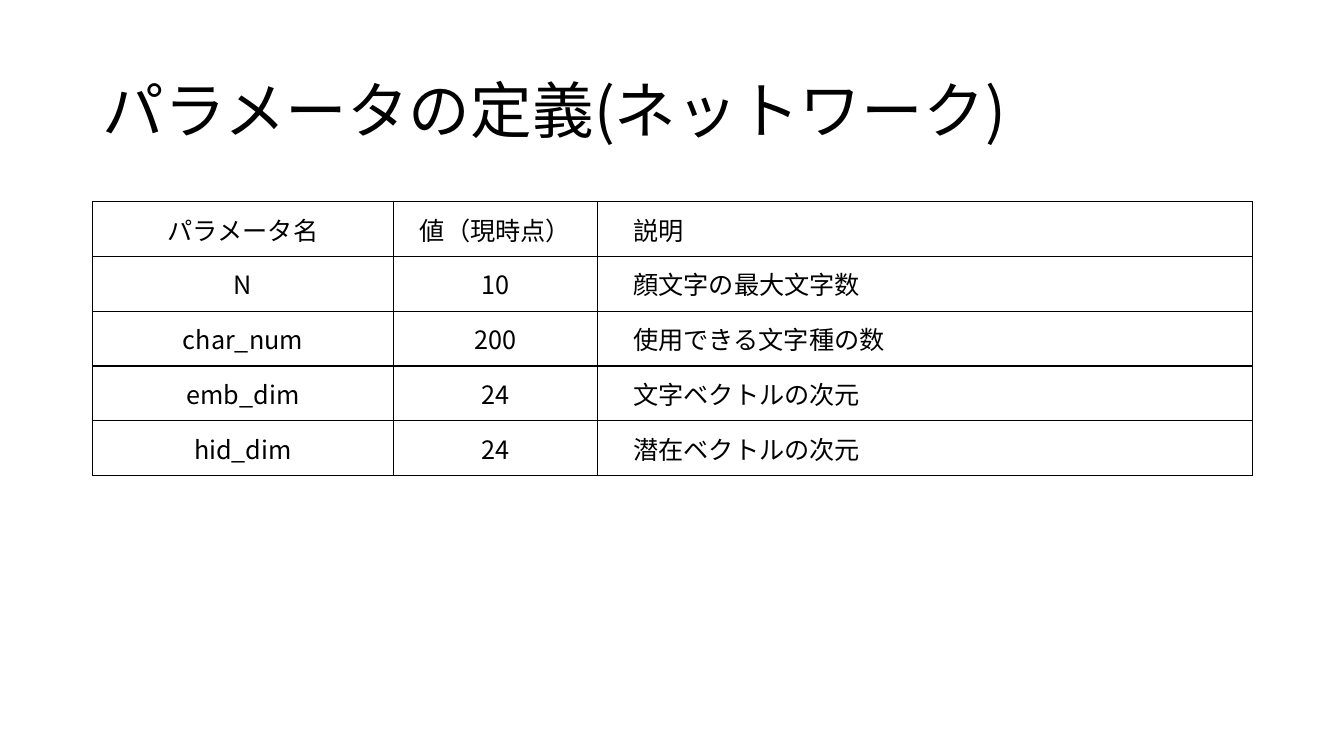
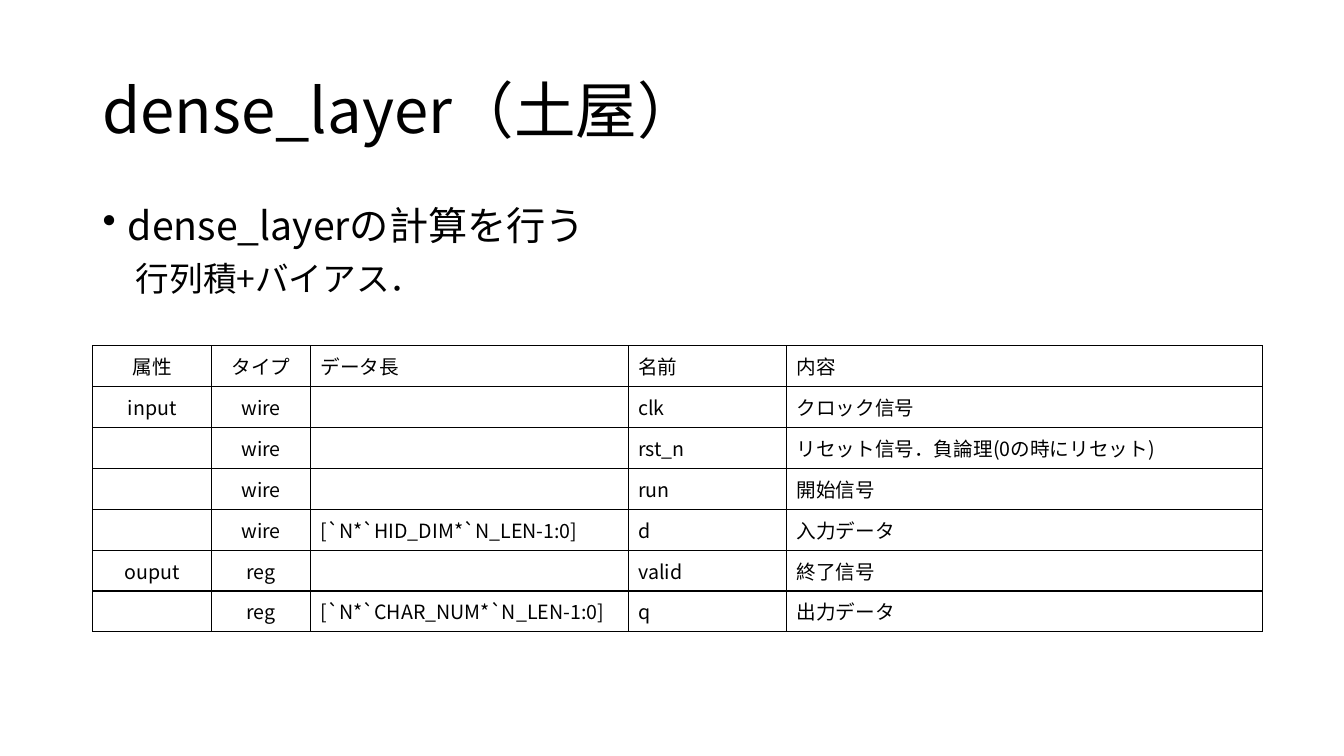
from lxml.etree import SubElement
from pptx import Presentation
from pptx.dml.color import RGBColor as Rgb
from pptx.enum.text import MSO_ANCHOR as Anchor, PP_ALIGN as Align
from pptx.oxml.ns import qn
from pptx.util import Inches, Pt

COLORS = {"ink": "000000", "rule": "000000", "paper": "FFFFFF"}
FONT = "Noto Sans CJK JP"
LEFT, WIDTH = 0.92, 11.5
CELL_MARGIN = 0.1


class Deck:
    """Holds the shared style and the slide being built."""

    def __init__(self):
        self.deck = Presentation()
        self.deck.slide_width = Inches(13.33)
        self.deck.slide_height = Inches(7.5)
        self.slide = None

    def add_slide(self, title):
        self.slide = self.deck.slides.add_slide(self.deck.slide_layouts[6])
        background = self.slide.background.fill
        background.solid()
        background.fore_color.rgb = Rgb.from_string(COLORS["paper"])
        heading = self.text_frame(0.4, 1.45, Anchor.MIDDLE)
        self.set_text(heading.paragraphs[0], title, 44, line_spacing=0.9)

    def text_frame(self, top, height, anchor):
        frame = self.slide.shapes.add_textbox(
            Inches(LEFT), Inches(top), Inches(WIDTH), Inches(height)).text_frame
        frame.word_wrap = True
        frame.vertical_anchor = anchor
        return frame

    def set_text(self, paragraph, text, size, align=Align.LEFT, line_spacing=None):
        paragraph.text = text
        paragraph.alignment = align
        paragraph.line_spacing = line_spacing
        font = paragraph.font
        font.size = Pt(size)
        font.color.rgb = Rgb.from_string(COLORS["ink"])
        font.name = FONT
        defaults = paragraph._p.pPr.find(qn("a:defRPr"))
        SubElement(defaults, qn("a:ea"), typeface=FONT)

    def body(self, top, height, lines):
        frame = self.text_frame(top, height, Anchor.TOP)
        for index, (text, size, margin, bullet) in enumerate(lines):
            paragraph = frame.add_paragraph() if index else frame.paragraphs[0]
            paragraph.space_before = Pt(10)
            self.set_text(paragraph, text, size, line_spacing=0.9)
            properties = paragraph._p.pPr
            properties.set("marL", str(Inches(margin)))
            if bullet:
                properties.set("indent", str(-Inches(margin)))
                mark = properties.makeelement(qn("a:buChar"), {"char": bullet})
                properties.find(qn("a:defRPr")).addprevious(mark)

    def table(self, top, height, widths, rows, size, centered, indents=None):
        grid = self.slide.shapes.add_table(
            len(rows), len(widths), Inches(LEFT), Inches(top),
            Inches(sum(widths)), Inches(height)).table
        grid.first_row = grid.horz_banding = False
        for column, width in zip(grid.columns, widths):
            column.width = Inches(width)
        for row, texts in enumerate(rows):
            for column, text in enumerate(texts):
                cell = grid.cell(row, column)
                cell.vertical_anchor = Anchor.MIDDLE
                cell.margin_top = cell.margin_bottom = 0
                indent = (indents or {}).get(column, 0)
                cell.margin_left = Inches(CELL_MARGIN + indent)
                align = Align.CENTER if column < centered else Align.LEFT
                self.set_text(cell.text_frame.paragraphs[0], text, size, align)
                self.border(cell)
                cell.fill.background()

    def border(self, cell):
        properties = cell._tc.get_or_add_tcPr()
        for side in ("lnL", "lnR", "lnT", "lnB"):
            line = SubElement(properties, qn(f"a:{side}"), w=str(Pt(1)))
            fill = SubElement(line, qn("a:solidFill"))
            SubElement(fill, qn("a:srgbClr"), val=COLORS["rule"])


def main():
    deck = Deck()

    deck.add_slide("パラメータの定義(ネットワーク)")
    parameters = [
        ("パラメータ名", "値（現時点）", "説明"),
        ("N", "10", "顔文字の最大文字数"),
        ("char_num", "200", "使用できる文字種の数"),
        ("emb_dim", "24", "文字ベクトルの次元"),
        ("hid_dim", "24", "潜在ベクトルの次元"),
    ]
    deck.table(2, 2.72, [2.98, 2.03, 6.49], parameters, 18,
               centered=2, indents={2: 0.25})

    deck.add_slide("dense_layer（土屋）")
    deck.body(2, 4.76, [
        ("dense_layerの計算を行う", 28, 0.25, "•"),
        ("行列積+バイアス．", 24, 0.33, None),
    ])
    ports = [
        ("属性", "タイプ", "データ長", "名前", "内容"),
        ("input", "wire", "", "clk", "クロック信号"),
        ("", "wire", "", "rst_n", "リセット信号．負論理(0の時にリセット)"),
        ("", "wire", "", "run", "開始信号"),
        ("", "wire", "[`N*`HID_DIM*`N_LEN-1:0]", "d", "入力データ"),
        ("ouput", "reg", "", "valid", "終了信号"),
        ("", "reg", "[`N*`CHAR_NUM*`N_LEN-1:0]", "q", "出力データ"),
    ]
    deck.table(3.43, 2.84, [1.18, 0.98, 3.15, 1.57, 4.72], ports, 14,
               centered=2)

    deck.deck.save("out.pptx")


if __name__ == "__main__":
    main()
